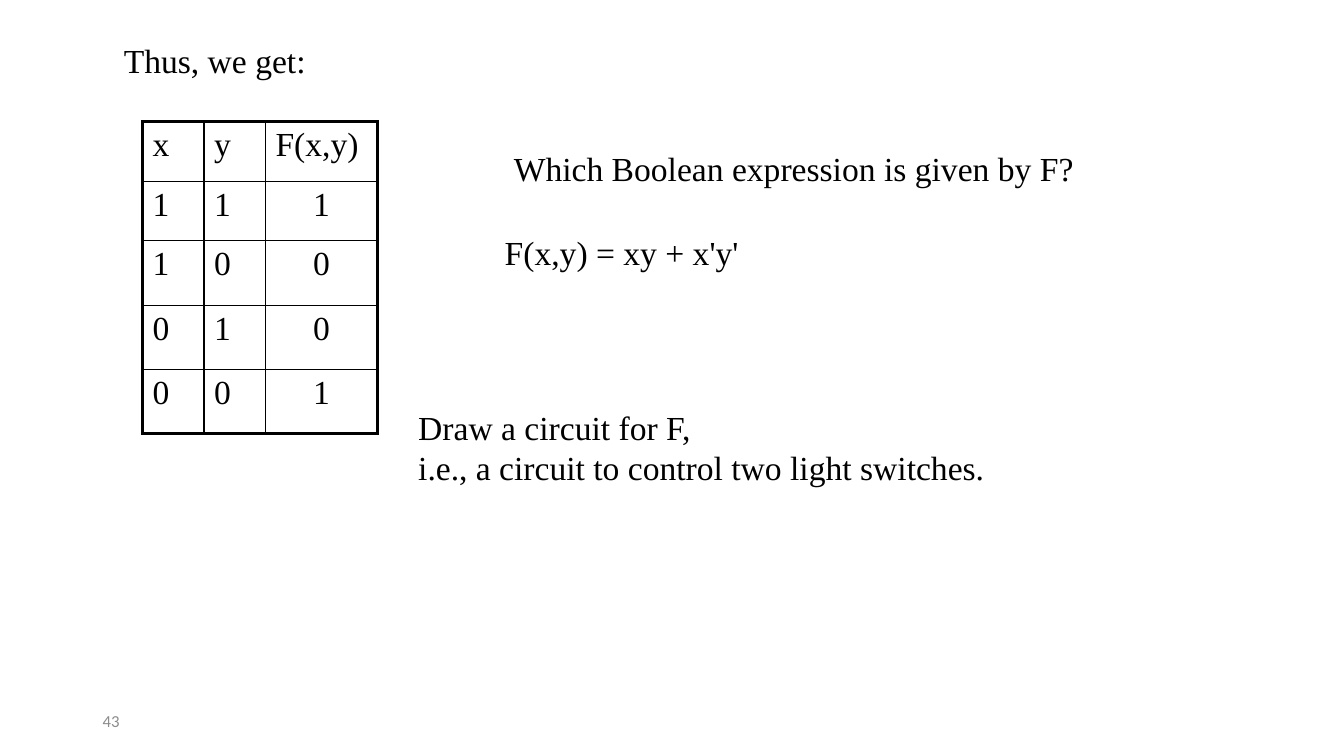
from lxml import etree
from pptx import Presentation
from pptx.dml.color import RGBColor
from pptx.enum.text import MSO_ANCHOR, PP_ALIGN
from pptx.oxml.ns import qn
from pptx.util import Cm, Pt

BLACK = RGBColor(0x00, 0x00, 0x00)
GREY = RGBColor(0x8C, 0x8C, 0x8C)
LEFT, CENTER = PP_ALIGN.LEFT, PP_ALIGN.CENTER
TOP, MIDDLE = MSO_ANCHOR.TOP, MSO_ANCHOR.MIDDLE
SERIF, SANS = "Times New Roman", "Calibri"
OUTER, INNER = Pt(2.25), Pt(1)

# text, (left, top, width, height) in cm, wraps
STATEMENTS = [
    ("Thus, we get:", (2.87, 0.89, 5.11, 1.27), False),
    ("Which Boolean expression is given by F?", (12.7, 3.61, 14.73, 1.27), False),
    ("Draw a circuit for F,\ni.e., a circuit to control two light switches.",
     (10.29, 10.13, 20.14, 2.31), True),
    ("F(x,y) = xy + x'y'", (12.47, 5.72, 6.45, 1.27), False),
]
SLIDE_NUMBER = ("43", (2.34, 17.65, 7.62, 1.02), True)

TRUTH_TABLE = [
    ("x", "y", "F(x,y)"),
    ("1", "1", "1"),
    ("1", "0", "0"),
    ("0", "1", "0"),
    ("0", "0", "1"),
]
TABLE_LEFT, TABLE_TOP = 3.59, 3.07
COLUMN_WIDTHS = [1.55, 1.55, 2.82]
ROW_HEIGHTS = [1.5, 1.5, 1.62, 1.62, 1.62]


def format_text(frame, font_name, size, color, align=LEFT):
    for paragraph in frame.paragraphs:
        paragraph.alignment = align
        for run in paragraph.runs:
            run.font.name = font_name
            run.font.size = Pt(size)
            run.font.color.rgb = color


def add_text(slide, statement, font_name=SERIF, size=24, color=BLACK, anchor=TOP):
    text, place, wraps = statement
    frame = slide.shapes.add_textbox(*map(Cm, place)).text_frame
    frame.word_wrap = wraps
    frame.vertical_anchor = anchor
    frame.text = text
    format_text(frame, font_name, size, color)


def set_border(cell, side, width):
    line = etree.SubElement(cell._tc.get_or_add_tcPr(), qn(f"a:ln{side}"), w=str(width))
    fill = etree.SubElement(line, qn("a:solidFill"))
    etree.SubElement(fill, qn("a:srgbClr"), val=str(BLACK))


def add_truth_table(slide):
    last_row, last_column = len(ROW_HEIGHTS) - 1, len(COLUMN_WIDTHS) - 1
    table = slide.shapes.add_table(
        len(ROW_HEIGHTS), len(COLUMN_WIDTHS), Cm(TABLE_LEFT), Cm(TABLE_TOP),
        Cm(sum(COLUMN_WIDTHS)), Cm(sum(ROW_HEIGHTS))).table
    table.first_row = table.horz_banding = False
    for column, width in zip(table.columns, COLUMN_WIDTHS):
        column.width = Cm(width)
    for r, values in enumerate(TRUTH_TABLE):
        table.rows[r].height = Cm(ROW_HEIGHTS[r])
        for c, value in enumerate(values):
            cell = table.cell(r, c)
            cell.text_frame.text = value
            is_result = r > 0 and c == last_column
            format_text(cell.text_frame, SERIF, 24, BLACK, CENTER if is_result else LEFT)
            on_edge = {"L": c == 0, "R": c == last_column, "T": r == 0, "B": r == last_row}
            for side, outer in on_edge.items():
                set_border(cell, side, OUTER if outer else INNER)
            cell.fill.background()


def main():
    deck = Presentation()
    deck.slide_width, deck.slide_height = Cm(33.87), Cm(19.05)
    slide = deck.slides.add_slide(deck.slide_layouts[6])
    add_text(slide, SLIDE_NUMBER, SANS, 12, GREY, MIDDLE)
    add_truth_table(slide)
    for statement in STATEMENTS:
        add_text(slide, statement)
    deck.save("out.pptx")


if __name__ == "__main__":
    main()
